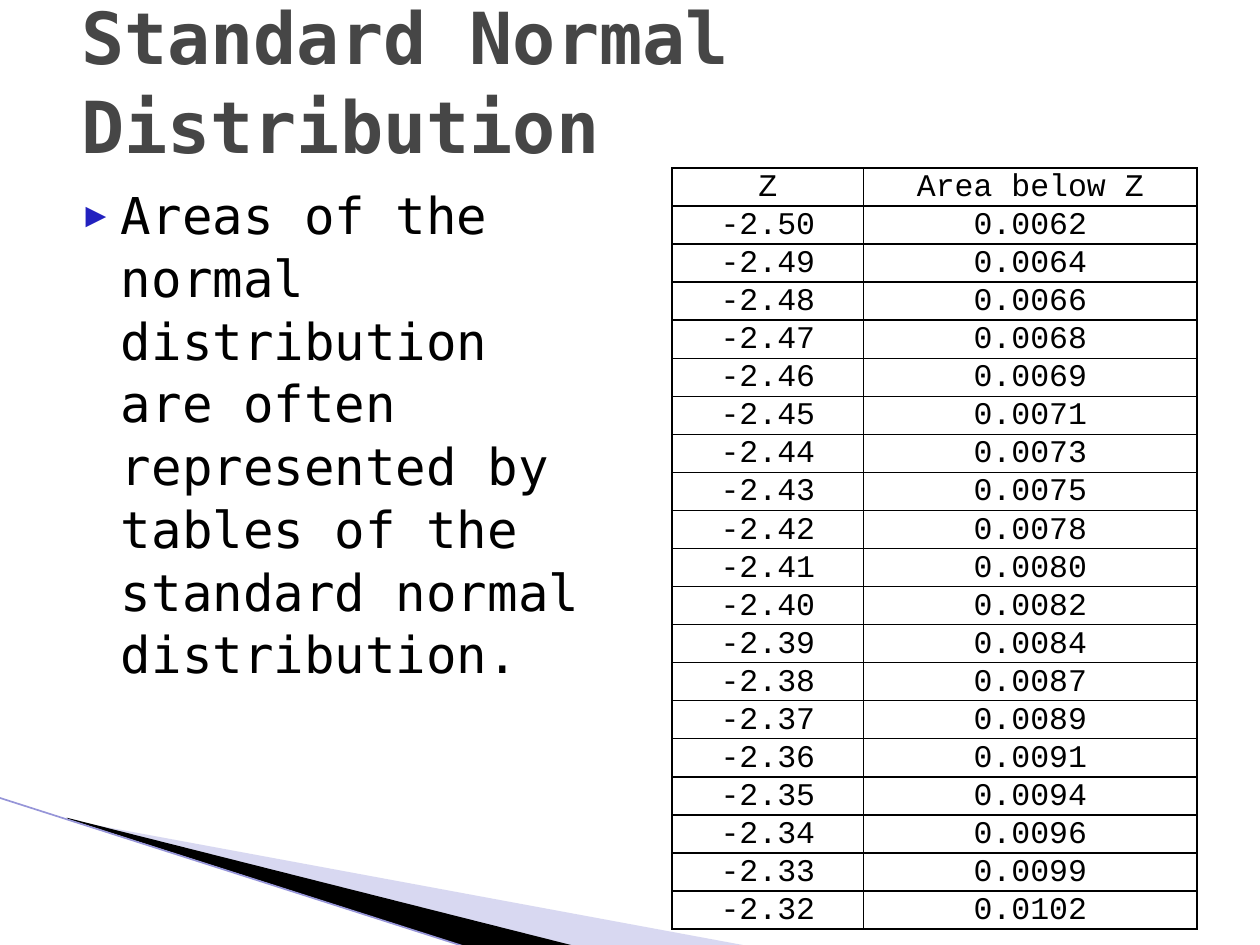
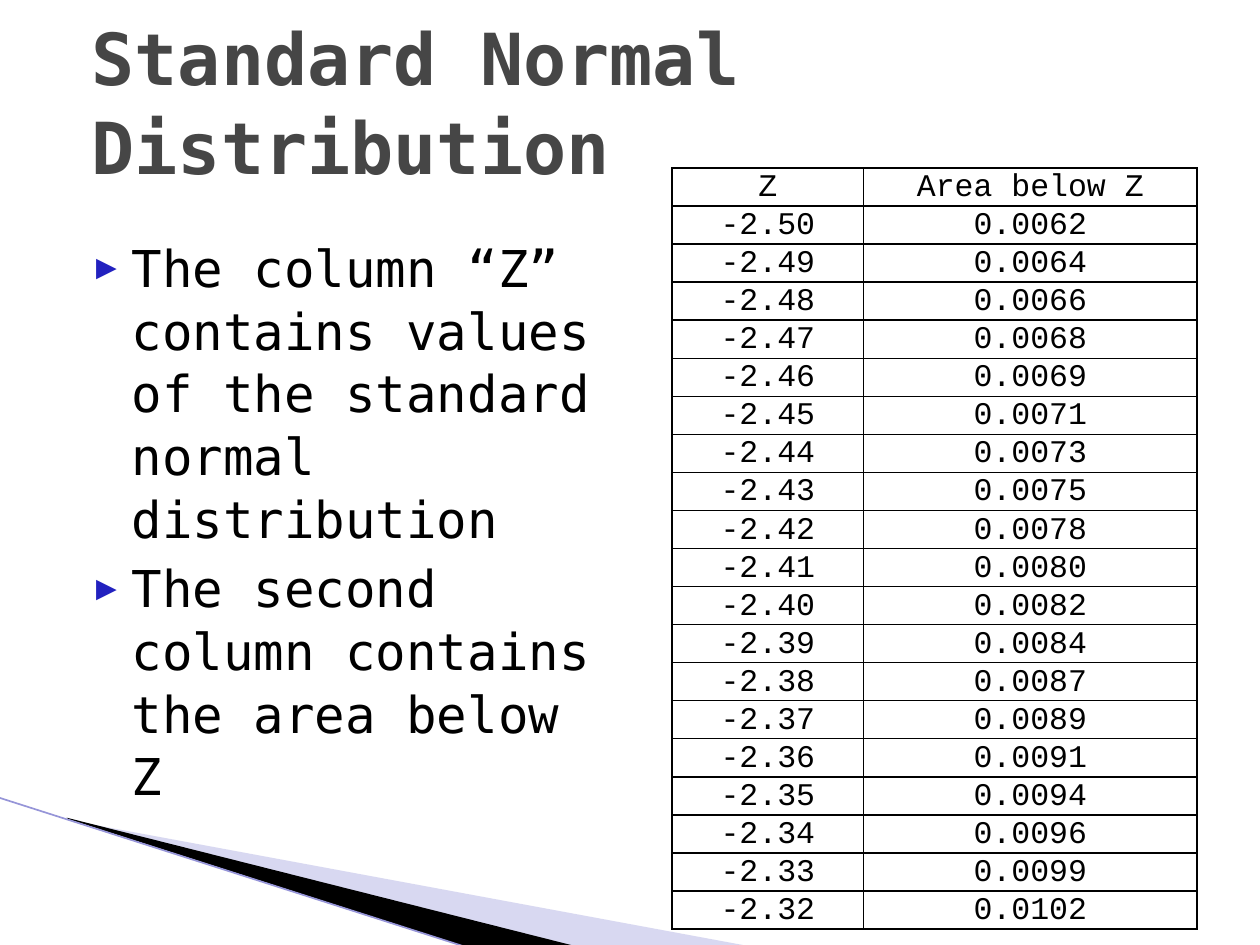
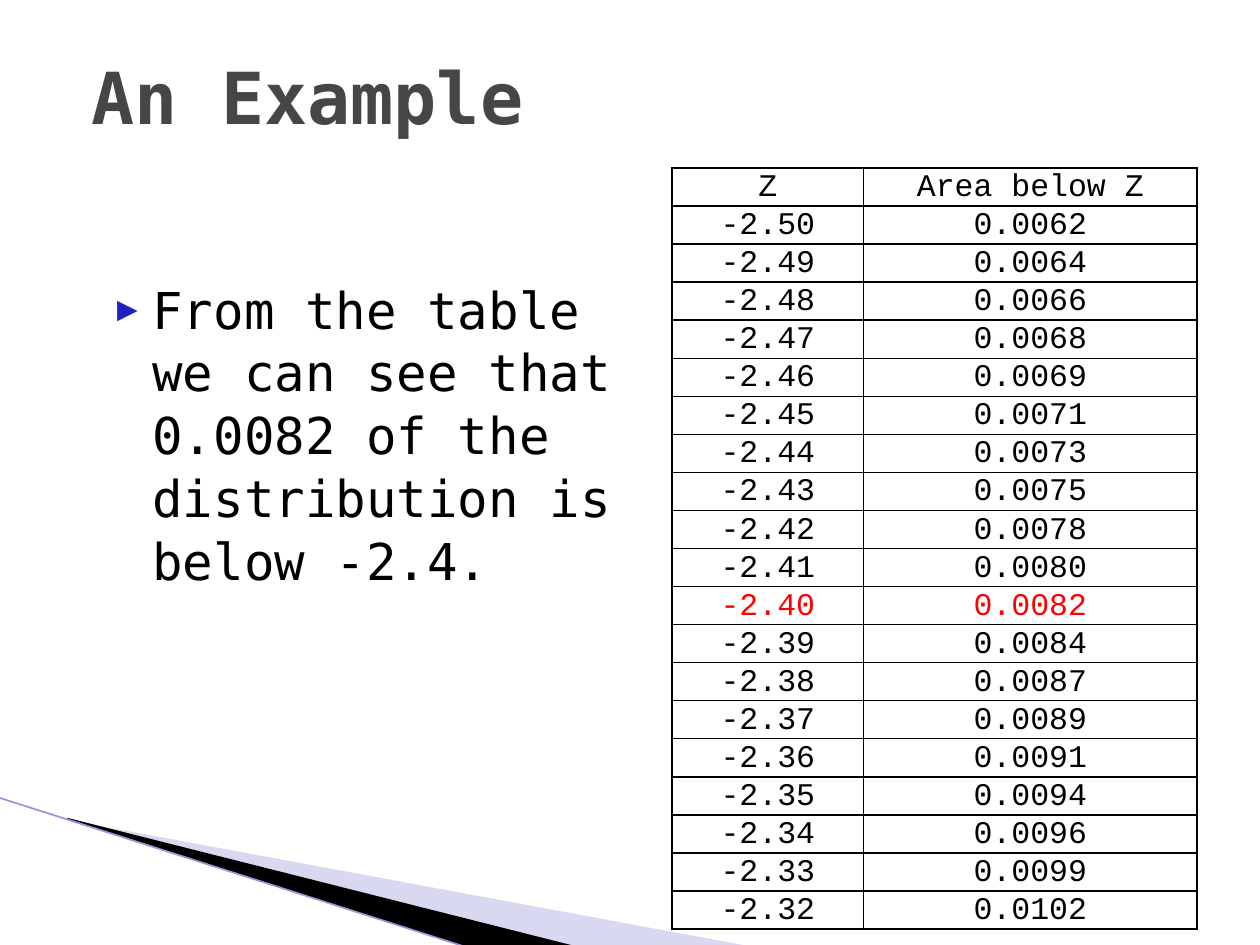
from dataclasses import dataclass

from lxml import etree
from pptx import Presentation
from pptx import util as u
from pptx.dml.color import RGBColor
from pptx.enum import shapes, text
from pptx.oxml import ns

COLORS = {
    "title": "464646",
    "ink": "000000",
    "bullet": "2221BF",
    "pale_wedge": "9F9FDC",
    "edge": "9695D8",
    "highlight": "FF0000",
}
SLIDE_FONT = "DejaVu Sans Mono"
TABLE_FONT = "Courier New"
WIDTH, HEIGHT = u.Inches(10), u.Inches(7.5)
GRID_COLUMNS, GRID_ROWS = 120, 90

HEADER = ("Z", "Area below Z")
AREAS = (
    "0.0062 0.0064 0.0066 0.0068 0.0069 0.0071 0.0073 0.0075 0.0078 0.0080 "
    "0.0082 0.0084 0.0087 0.0089 0.0091 0.0094 0.0096 0.0099 0.0102"
).split()
TABLE_ROWS = [HEADER] + [
    (f"{(step - 250) / 100:.2f}", area) for step, area in enumerate(AREAS)
]
COLUMN_SHARES = (0.365, 0.635)


@dataclass(frozen=True)
class Area:
    column: float
    row: float
    columns: float
    rows: float


@dataclass(frozen=True)
class Wedge:
    color: str
    points: tuple[tuple[float, float], ...]
    opacity: int = 100


@dataclass(frozen=True)
class Lesson:
    title: str
    title_area: Area
    bullets: tuple[str, ...]
    body_area: Area
    highlighted_z: str = ""


TABLE_AREA = Area(64, 16, 50, 72.5)
WEDGES = (
    Wedge("pale_wedge", ((6.6, 78.12), (71.4, 90.12), (54.72, 90.12), (6.6, 78)), 40),
    Wedge("ink", ((6.36, 77.88), (54.84, 90.12), (44.64, 90.24), (6.48, 78))),
)
EDGE = ((-0.12, 75.96), (44.52, 90.24))

LESSONS = (
    Lesson(
        "Standard Normal Distribution",
        Area(7, 0, 102, 15),
        (
            "Areas of the normal distribution are often represented by tables "
            "of the standard normal distribution.",
        ),
        Area(6, 17, 50, 59.5),
    ),
    Lesson(
        "Standard Normal Distribution",
        Area(8, 2, 102, 15),
        (
            "The column “Z” contains values of the standard normal distribution",
            "The second column contains the area below Z",
        ),
        Area(7, 22, 50, 59.5),
    ),
    Lesson(
        "An Example",
        Area(8, 3, 102, 12),
        ("From the table we can see that 0.0082 of the distribution is below -2.4.",),
        Area(9, 26, 50, 46),
        "-2.40",
    ),
)


def across(columns: float) -> int:
    return round(WIDTH * columns / GRID_COLUMNS)


def down(rows: float) -> int:
    return round(HEIGHT * rows / GRID_ROWS)


def place(area: Area) -> tuple[int, int, int, int]:
    return across(area.column), down(area.row), across(area.columns), down(area.rows)


def rgb(name: str) -> RGBColor:
    return RGBColor.from_string(COLORS[name])


def add_child(parent, tag: str, **attributes: str):
    child = etree.SubElement(parent, ns.qn(tag))
    for key, value in attributes.items():
        child.set(key, value)
    return child


def style_paragraph(para, font: str, size: float, color: str, bold: bool = False) -> None:
    for span in para.runs:
        span.font.name = font
        span.font.size = u.Pt(size)
        span.font.bold = bold
        span.font.color.rgb = rgb(color)


def draw_wedge(page, wedge: Wedge):
    points = [(across(column), down(row)) for column, row in wedge.points]
    builder = page.shapes.build_freeform(*points[0])
    builder.add_line_segments(points[1:], close=True)
    shape = builder.convert_to_shape()
    shape.shadow.inherit = False
    shape.line.fill.background()
    shape.fill.solid()
    shape.fill.fore_color.rgb = rgb(wedge.color)
    if wedge.opacity < 100:
        color = shape.element.spPr.find(".//" + ns.qn("a:srgbClr"))
        add_child(color, "a:alpha", val=str(wedge.opacity * 1000))
    return shape


def draw_edge(page):
    (start_column, start_row), (end_column, end_row) = EDGE
    line = page.shapes.add_connector(
        shapes.MSO_CONNECTOR.STRAIGHT,
        across(start_column), down(start_row), across(end_column), down(end_row),
    )
    line.line.color.rgb = rgb("edge")
    line.line.width = u.Pt(0.95)
    add_child(line.element.spPr, "a:effectLst")
    return line


def decorate_layout(page) -> None:
    decorations = [draw_wedge(page, wedge) for wedge in WEDGES] + [draw_edge(page)]
    tree = page.slide_layout.shapes.element
    for order, shape in enumerate(decorations):
        shape.element.xpath(".//p:cNvPr")[0].set("id", str(100 + order))
        tree.insert(2 + order, shape.element)


def prepare_box(box, area: Area, anchor) -> None:
    box.left, box.top, box.width, box.height = place(area)
    frame = box.text_frame
    frame.word_wrap = True
    frame.auto_size = text.MSO_AUTO_SIZE.NONE
    frame.vertical_anchor = anchor
    frame.margin_left = frame.margin_right = u.Inches(0.06)
    frame.margin_top = frame.margin_bottom = u.Inches(0.03)


def write_title(page, lesson: Lesson) -> None:
    box = page.shapes.title
    prepare_box(box, lesson.title_area, text.MSO_ANCHOR.MIDDLE)
    box.text_frame.text = lesson.title
    para = box.text_frame.paragraphs[0]
    para.alignment = text.PP_ALIGN.LEFT
    para.line_spacing = 1.03
    style_paragraph(para, SLIDE_FONT, 41, "title", bold=True)


def write_bullets(page, lesson: Lesson) -> None:
    box = page.placeholders[1]
    prepare_box(box, lesson.body_area, text.MSO_ANCHOR.TOP)
    box.text_frame.text = "\n".join(lesson.bullets)
    for para in box.text_frame.paragraphs:
        para.space_before = u.Pt(4)
        para.line_spacing = 1.03
        style_paragraph(para, SLIDE_FONT, 29, "ink")
        properties = para._p.get_or_add_pPr()
        properties.set("marL", str(u.Inches(0.4)))
        properties.set("indent", str(u.Inches(-0.28)))
        color = add_child(properties, "a:buClr")
        add_child(color, "a:srgbClr", val=COLORS["bullet"])
        add_child(properties, "a:buSzPct", val="68000")
        add_child(properties, "a:buFont", typeface=SLIDE_FONT)
        add_child(properties, "a:buChar", char="▶")


def draw_borders(cell) -> None:
    properties = cell._tc.get_or_add_tcPr()
    for order, side in enumerate(("a:lnL", "a:lnR", "a:lnT", "a:lnB")):
        border = etree.Element(ns.qn(side), w=str(u.Pt(1)))
        fill = add_child(border, "a:solidFill")
        add_child(fill, "a:srgbClr", val=COLORS["ink"])
        properties.insert(order, border)


def write_cell(cell, value: str, color: str) -> None:
    cell.fill.background()
    cell.margin_left = cell.margin_right = cell.margin_top = cell.margin_bottom = 0
    cell.vertical_anchor = text.MSO_ANCHOR.BOTTOM
    cell.text_frame.text = value
    para = cell.text_frame.paragraphs[0]
    para.alignment = text.PP_ALIGN.CENTER
    style_paragraph(para, TABLE_FONT, 18, color)
    draw_borders(cell)


def draw_table(page, highlighted_z: str) -> None:
    frame = page.shapes.add_table(len(TABLE_ROWS), len(HEADER), *place(TABLE_AREA))
    table = frame.table
    table.first_row = table.horz_banding = False
    for column, share in zip(table.columns, COLUMN_SHARES):
        column.width = across(TABLE_AREA.columns * share)
    for row, values in zip(table.rows, TABLE_ROWS):
        row.height = down(TABLE_AREA.rows / len(TABLE_ROWS))
        color = "highlight" if values[0] == highlighted_z else "ink"
        for cell, value in zip(row.cells, values):
            write_cell(cell, value, color)


def main() -> None:
    deck = Presentation()
    deck.slide_width, deck.slide_height = WIDTH, HEIGHT
    layout = deck.slide_layouts[1]
    for lesson in LESSONS:
        page = deck.slides.add_slide(layout)
        write_title(page, lesson)
        write_bullets(page, lesson)
        draw_table(page, lesson.highlighted_z)
    decorate_layout(deck.slides[0])
    deck.save("out.pptx")


if __name__ == "__main__":
    main()
